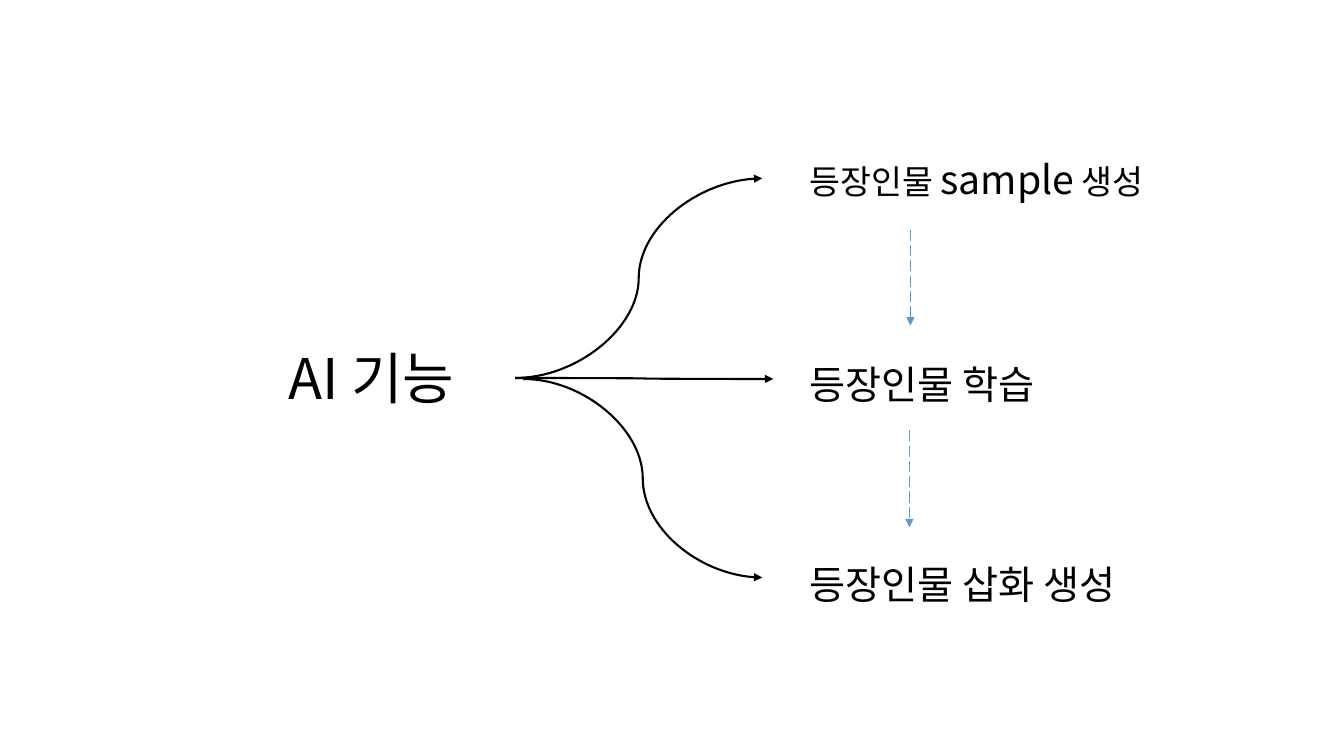
from lxml.etree import SubElement
from pptx import Presentation
from pptx.dml.color import RGBColor
from pptx.enum.dml import MSO_LINE
from pptx.enum.shapes import MSO_CONNECTOR
from pptx.enum.text import MSO_ANCHOR, MSO_AUTO_SIZE, PP_ALIGN
from pptx.oxml.ns import qn
from pptx.util import Inches, Pt

FONT = "Noto Sans CJK KR"
BLACK = "000000"
BLUE = "5B9BD5"

TOPIC = [("AI 기능", 40)]
# Top of each step, then its runs as (text, size)
STEPS = [
    (1.49, [("등장인물 ", 24), ("sample", 28), (" 생성", 24)]),
    (3.53, [("등장인물 학습", 28)]),
    (5.51, [("등장인물 삽화 생성", 28)]),
]
STEP_LEFT, STEP_WIDTH, STEP_HEIGHT = 7.93, 3.96, 0.57

# (start, end) of each arrow
BRANCHES = [
    ((5.11, 3.75), (7.56, 1.77)),
    ((5.11, 3.75), (7.67, 3.76)),
    ((5.19, 3.76), (7.56, 5.73)),
]
SEQUENCE = [
    ((9.03, 2.28), (9.03, 3.23)),
    ((9.02, 4.27), (9.02, 5.23)),
]


def color(hex_code):
    return RGBColor.from_string(hex_code)


def write(frame, pieces):
    """Fill a text frame with one left-aligned line of sized runs."""
    frame.word_wrap = True
    frame.auto_size = MSO_AUTO_SIZE.SHAPE_TO_FIT_TEXT
    frame.vertical_anchor = MSO_ANCHOR.TOP
    line = frame.paragraphs[0]
    line.alignment = PP_ALIGN.LEFT
    for text, size in pieces:
        run = line.add_run()
        run.text = text
        run.font.size = Pt(size)
        run.font.name = FONT
        run.font.color.rgb = color(BLACK)
        SubElement(run.font._element, qn("a:ea"), typeface=FONT)


def add_arrow(slide, kind, start, end, hex_code, width):
    arrow = slide.shapes.add_connector(
        kind, *(Inches(value) for value in (*start, *end)))
    arrow.line.color.rgb = color(hex_code)
    arrow.line.width = Pt(width)
    SubElement(arrow.line._get_or_add_ln(), qn("a:tailEnd"), type="triangle")
    SubElement(arrow._element.spPr, qn("a:effectLst"))
    return arrow


def main():
    deck = Presentation()
    deck.slide_width, deck.slide_height = Inches(13.33), Inches(7.5)
    slide = deck.slides.add_slide(deck.slide_layouts[5])

    topic = slide.shapes.title
    topic.left, topic.top = Inches(2.76), Inches(3.36)
    topic.width, topic.height = Inches(5.8), Inches(0.77)
    write(topic.text_frame, TOPIC)

    for start, end in BRANCHES:
        add_arrow(slide, MSO_CONNECTOR.CURVE, start, end, BLACK, 1.5)

    for top, pieces in STEPS:
        step = slide.shapes.add_textbox(
            Inches(STEP_LEFT), Inches(top), Inches(STEP_WIDTH), Inches(STEP_HEIGHT))
        write(step.text_frame, pieces)

    for start, end in SEQUENCE:
        arrow = add_arrow(slide, MSO_CONNECTOR.STRAIGHT, start, end, BLUE, 1)
        arrow.line.dash_style = MSO_LINE.LONG_DASH

    deck.save("out.pptx")


if __name__ == "__main__":
    main()
